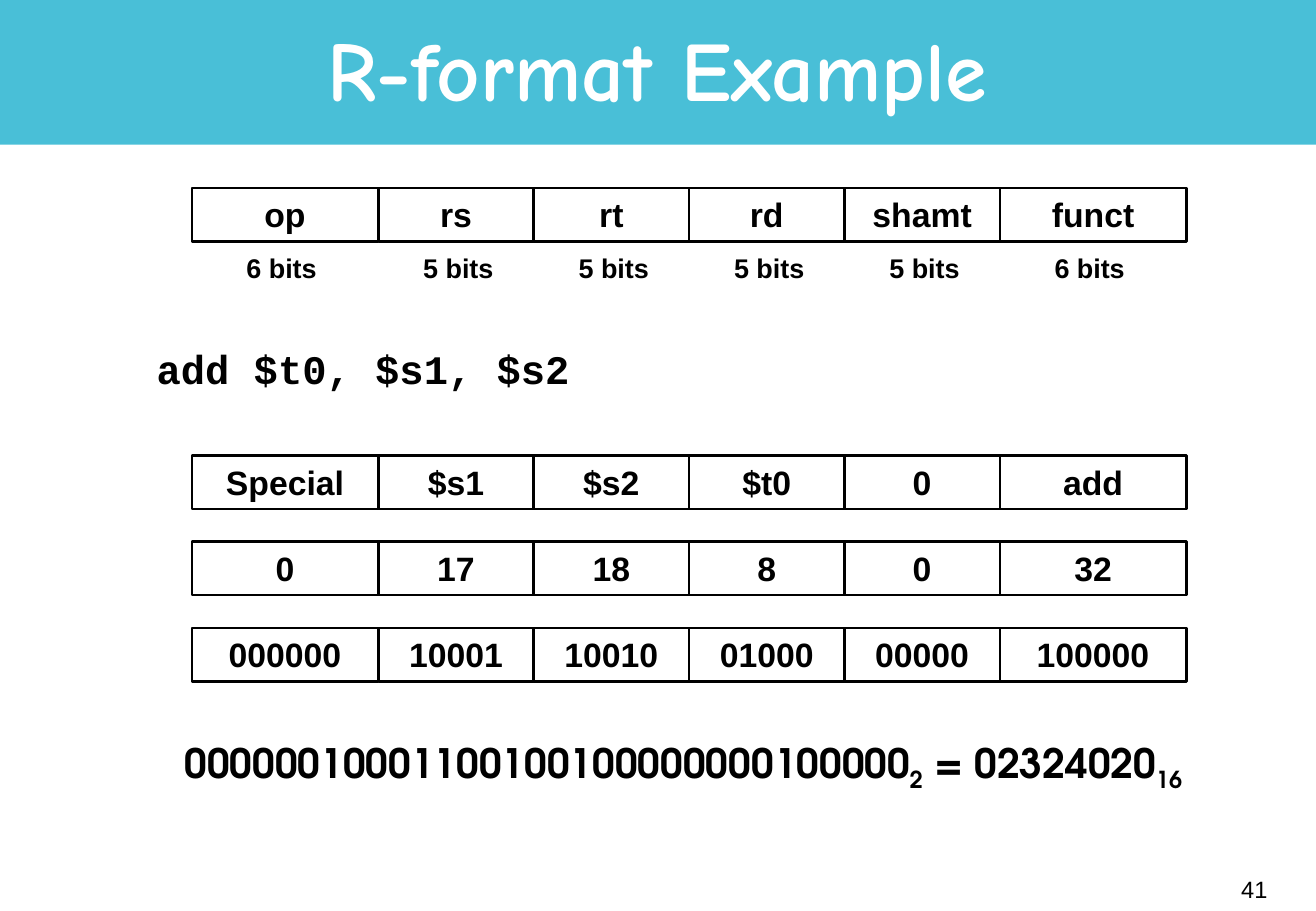
"""Build the R-format instruction encoding slide."""
from pptx import Presentation
from pptx import util as u
from pptx.dml.color import RGBColor
from pptx.enum import shapes, text

COLOURS = {"banner": "49BFD7", "ink": "000000", "title": "FFFFFF"}
ALIGN = text.PP_ALIGN
ANCHOR = text.MSO_ANCHOR

FIELD_BITS = [6, 5, 5, 5, 5, 6]
BIT_WIDTH = 0.256
FIELDS_LEFT = 1.58
LABEL_OFFSETS = {6: 0.35, 5: 0.27}
FIELD_ROWS = [
    (1.55, ["op", "rs", "rt", "rd", "shamt", "funct"]),
    (3.75, ["Special", "$s1", "$s2", "$t0", "0", "add"]),
    (4.46, ["0", "17", "18", "8", "0", "32"]),
    (5.17, ["000000", "10001", "10010", "01000", "00000", "100000"]),
]


class SlideBuilder:
    """Hold the text style and the current page."""

    def __init__(self, page):
        self.page = page
        self.font = "Arial"

    def set_text(self, box, spans, size, font=None, colour="ink", bold=True,
                 align=ALIGN.CENTER, anchor=ANCHOR.TOP, wrap=True, spacing=None):
        """Fill a box with one paragraph of (wording, is_subscript) spans."""
        frame = box.text_frame
        frame.word_wrap = wrap
        frame.vertical_anchor = anchor
        para = frame.paragraphs[0]
        para.alignment = align
        if spacing:
            para.line_spacing = spacing
        for wording, is_subscript in spans:
            span = para.add_run()
            span.text = wording
            span.font.name = font or self.font
            span.font.size = u.Pt(size)
            span.font.bold = bold
            span.font.color.rgb = RGBColor.from_string(COLOURS[colour])
            if is_subscript:
                span._r.get_or_add_rPr().set("baseline", "-25000")

    def rectangle(self, left, top, width, height, fill=None):
        """Add a filled rectangle, or an outlined one when no fill is given."""
        box = self.page.shapes.add_shape(
            shapes.MSO_SHAPE.RECTANGLE,
            *map(u.Inches, (left, top, width, height)))
        box.shadow.inherit = False
        if fill:
            box.fill.solid()
            box.fill.fore_color.rgb = RGBColor.from_string(COLOURS[fill])
            box.line.fill.background()
        else:
            box.fill.background()
            box.line.color.rgb = RGBColor.from_string(COLOURS["ink"])
            box.line.width = u.Pt(1.5)
        return box

    def field(self, left, top, width, wording):
        """Add one instruction field."""
        self.set_text(self.rectangle(left, top, width, 0.44),
                      [(wording, False)], 20)

    def textbox(self, left, top, width, height, spans, size, **style):
        """Add a text box."""
        box = self.page.shapes.add_textbox(
            *map(u.Inches, (left, top, width, height)))
        self.set_text(box, spans, size, **style)
        return box


def main():
    """Compose and save the deck."""
    deck = Presentation()
    deck.slide_width, deck.slide_height = u.Inches(10.84), u.Inches(7.5)
    slide = SlideBuilder(deck.slides.add_slide(deck.slide_layouts[6]))

    slide.rectangle(0, 0, 10.84, 1.19, "banner")
    slide.textbox(0.81, 0.13, 9.21, 0.99, [("R-format Example", False)], 50,
                  font="Comic Neue", colour="title", anchor=ANCHOR.MIDDLE,
                  spacing=0.85)
    instruction = slide.textbox(
        0.81, 2.83, 9.21, 0.7, [("add $t0, $s1, $s2", False)], 24,
        font="Courier New", align=ALIGN.LEFT, spacing=0.9)
    instruction.text_frame.margin_left = u.Inches(0.48)

    lefts = [FIELDS_LEFT + BIT_WIDTH * sum(FIELD_BITS[:index])
             for index in range(len(FIELD_BITS))]
    for top, wordings in FIELD_ROWS:
        for left, bits, wording in zip(lefts, FIELD_BITS, wordings):
            slide.field(left, top, bits * BIT_WIDTH, wording)
    for left, bits in zip(lefts, FIELD_BITS):
        slide.textbox(left + LABEL_OFFSETS[bits], 2.02, 0.78, 0.37,
                      [(f"{bits} bits", False)], 16, wrap=False)

    encoding = [("00000010001100100100000000100000", False), ("2", True),
                (" = 02324020", False), ("16", True)]
    slide.textbox(0.81, 6.03, 9.64, 0.55, encoding, 24,
                  font="TeX Gyre Adventor", spacing=0.9)
    slide.textbox(8.28, 7.07, 2.26, 0.5, [("41", False)], 14, bold=False,
                  align=ALIGN.RIGHT, anchor=ANCHOR.MIDDLE)
    deck.save("out.pptx")


if __name__ == "__main__":
    main()
